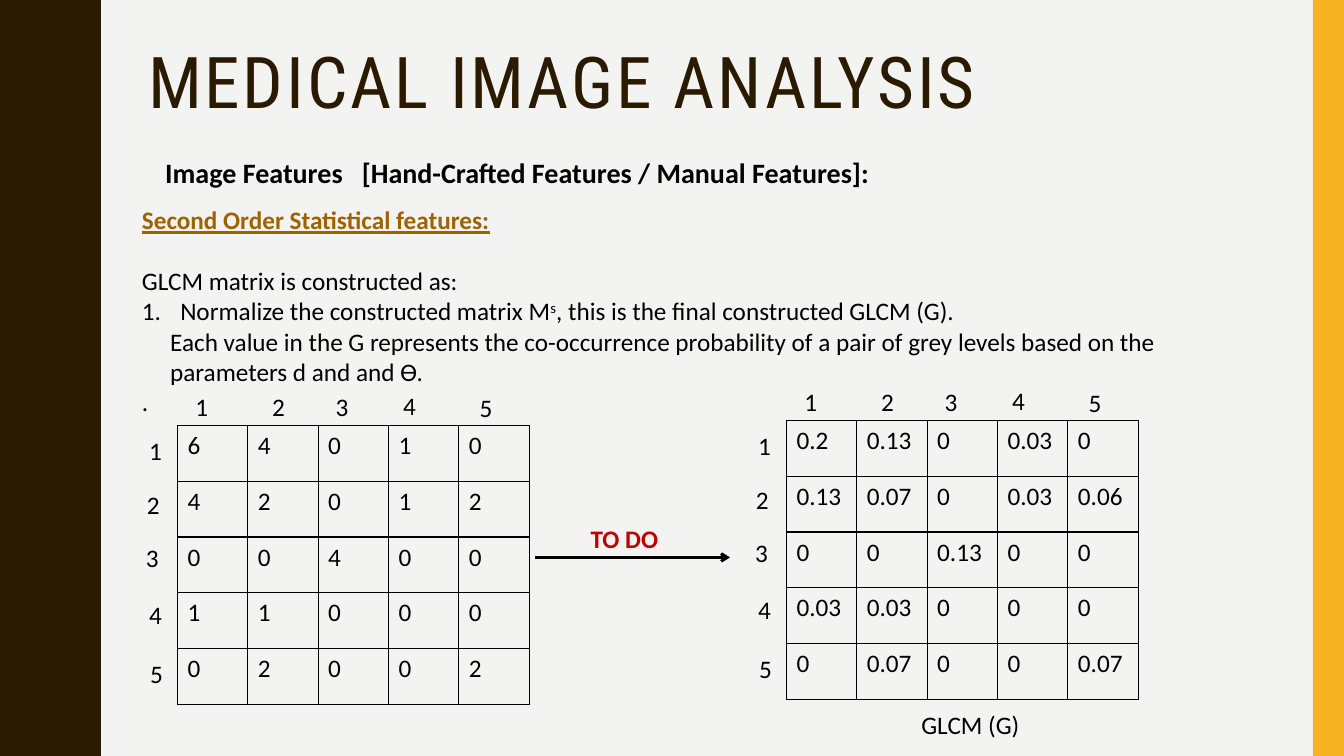
from dataclasses import dataclass
from typing import Optional

from lxml.etree import SubElement
from pptx import Presentation
from pptx.dml.color import RGBColor
from pptx.enum.shapes import MSO_CONNECTOR, MSO_SHAPE
from pptx.oxml import parse_xml
from pptx.oxml.ns import nsdecls, qn
from pptx.util import Inches, Pt

BROWN = RGBColor(0x2A, 0x1A, 0x00)
AMBER = RGBColor(0xF8, 0xB3, 0x23)
OCHRE = RGBColor(0x9F, 0x62, 0x00)
RED = RGBColor(0xC0, 0x00, 0x00)
BLACK = RGBColor(0x00, 0x00, 0x00)
PAPER = RGBColor(0xF3, 0xF3, 0xF2)

WAVE_PERIOD = 1.5
WAVE_COUNT = 5
HALF_WAVE = [(0.78, 0), (0.78, 0.07), (0.79, 0.14), (0.8, 0.2), (0.81, 0.25),
             (0.83, 0.29), (0.85, 0.33), (0.87, 0.38), (0.89, 0.42), (0.91, 0.46),
             (0.93, 0.5), (0.95, 0.55), (0.96, 0.61), (0.97, 0.68), (0.97, 0.75)]

# Offsets of the grey-level labels from the top left corner of a matrix
COLUMN_LABELS = [(0.08, -0.39), (0.84, -0.39), (1.47, -0.39), (2.14, -0.4), (2.9, -0.38)]
ROW_LABELS = [(-0.38, 0.05), (-0.4, 0.59), (-0.41, 1.11), (-0.38, 1.68), (-0.37, 2.26)]


@dataclass
class Run:
    text: str
    size: float = 18
    color: RGBColor = BLACK
    font: str = "Calibri"
    bold: bool = False
    underline: bool = False
    spacing: float = 0
    baseline: int = 0


@dataclass
class Para:
    runs: list[Run]
    line_spacing: Optional[float] = None
    space_before: float = 0
    margin: float = 0
    numbered: bool = False


@dataclass
class Matrix:
    left: float
    top: float
    rows: list[str]


MATRICES = [
    Matrix(1.76, 4.22, ["6 4 0 1 0", "4 2 0 1 2", "0 0 4 0 0", "1 1 0 0 0", "0 2 0 0 2"]),
    Matrix(7.8, 4.17, ["0.2 0.13 0 0.03 0", "0.13 0.07 0 0.03 0.06", "0 0 0.13 0 0",
                       "0.03 0.03 0 0 0", "0 0.07 0 0 0.07"]),
]

STEPS = [
    Para([Run("Second Order Statistical features:", color=OCHRE, bold=True, underline=True)]),
    Para([Run("GLCM matrix is constructed as:")], space_before=22),
    Para([Run("Normalize the constructed matrix M"), Run("s", baseline=30),
          Run(", this is the final constructed GLCM (G).")], margin=0.38, numbered=True),
    Para([Run("Each value in the G represents the co-occurrence probability of a pair of "
              "grey levels based on the")], margin=0.28),
    Para([Run("parameters d and and ϴ.")], margin=0.28),
    Para([Run(".")]),
]


def add_run(p, run: Run) -> None:
    r = p.add_run()
    r.text = run.text
    r.font.size = Pt(run.size)
    r.font.name = run.font
    r.font.color.rgb = run.color
    r.font.bold = run.bold
    r.font.underline = run.underline
    rPr = r.font._element
    if run.spacing:
        rPr.set("spc", str(round(run.spacing * 100)))
    if run.baseline:
        rPr.set("baseline", str(run.baseline * 1000))


def add_text(s, left: float, top: float, width: float, height: float,
             paras: list[Para]) -> None:
    tf = s.shapes.add_textbox(Inches(left), Inches(top), Inches(width), Inches(height)).text_frame
    tf.word_wrap = True
    for i, para in enumerate(paras):
        p = tf.add_paragraph() if i else tf.paragraphs[0]
        p.line_spacing = para.line_spacing
        p.space_before = Pt(para.space_before)
        pPr = p._p.get_or_add_pPr()
        pPr.set("marL", str(Inches(para.margin)))
        if para.numbered:
            pPr.set("indent", str(-Inches(para.margin)))
            SubElement(pPr, qn("a:buFont"), typeface="+mj-lt")
            SubElement(pPr, qn("a:buAutoNum"), type="arabicPeriod")
        for run in para.runs:
            add_run(p, run)


def add_wave(s) -> None:
    """Draw the left band with its wavy right edge."""
    period = HALF_WAVE + [(x, WAVE_PERIOD - y) for x, y in HALF_WAVE[-2::-1]]
    edge = [(x, y + n * WAVE_PERIOD) for n in range(WAVE_COUNT) for x, y in period]
    builder = s.shapes.build_freeform(0, 0, scale=Inches(1))
    builder.add_line_segments(edge + [(0, 7.5)], close=True)
    fill_plain(builder.convert_to_shape(), BROWN)


def fill_plain(sp, color: RGBColor) -> None:
    sp.shadow.inherit = False
    sp.fill.solid()
    sp.fill.fore_color.rgb = color
    sp.line.fill.background()


def add_borders(cell) -> None:
    tcPr = cell._tc.get_or_add_tcPr()
    for i, side in enumerate(("lnL", "lnR", "lnT", "lnB")):
        tcPr.insert(i, parse_xml(
            f'<a:{side} {nsdecls("a")} w="{Pt(1)}"><a:solidFill>'
            f'<a:srgbClr val="{BLACK}"/></a:solidFill></a:{side}>'))


def add_matrix(s, matrix: Matrix) -> None:
    """Draw the grid of values and the grey levels along its top and left."""
    table = s.shapes.add_table(5, 5, Inches(matrix.left), Inches(matrix.top),
                               Inches(3.49), Inches(2.77)).table
    table.first_row = False
    table.horz_banding = False
    for i, row in enumerate(matrix.rows):
        for j, value in enumerate(row.split()):
            cell = table.cell(i, j)
            cell.fill.background()
            add_borders(cell)
            add_run(cell.text_frame.paragraphs[0], Run(value))
    for labels in (COLUMN_LABELS, ROW_LABELS):
        for level, (dx, dy) in enumerate(labels, 1):
            add_text(s, matrix.left + dx, matrix.top + dy, 0.34, 0.4, [Para([Run(str(level))])])


def add_arrow(s, left: float, right: float, y: float) -> None:
    line = s.shapes.add_connector(MSO_CONNECTOR.STRAIGHT, Inches(left), Inches(y),
                                  Inches(right), Inches(y))
    line.line.color.rgb = BLACK
    line.line.width = Pt(2)
    SubElement(line.line._get_or_add_ln(), qn("a:tailEnd"), type="arrow")
    SubElement(line._element.spPr, qn("a:effectLst"))


def main() -> None:
    prs = Presentation()
    prs.slide_width = Inches(13.33)
    prs.slide_height = Inches(7.5)
    s = prs.slides.add_slide(prs.slide_layouts[6])
    s.background.fill.solid()
    s.background.fill.fore_color.rgb = PAPER

    add_wave(s)
    band = s.shapes.add_shape(MSO_SHAPE.RECTANGLE, Inches(13.02), 0, Inches(0.31), Inches(7.5))
    fill_plain(band, AMBER)

    add_text(s, 1.37, 0.42, 11.13, 1.63, [Para(
        [Run("MEDICAL IMAGE ANALYSIS", 51, BROWN, "Roboto Condensed", spacing=2)],
        line_spacing=0.9)])
    add_text(s, 1.54, 1.47, 8.78, 0.46, [Para(
        [Run("Image Features", 20, bold=True), Run(" ", 20, bold=True, spacing=9),
         Run("[Hand-Crafted Features / Manual Features]:", 20, bold=True)],
        line_spacing=1.07)])
    add_text(s, 1.31, 1.98, 11.46, 3.13, STEPS)

    for matrix in MATRICES:
        add_matrix(s, matrix)
    add_arrow(s, 5.31, 7.24, 5.53)
    add_text(s, 5.76, 5.14, 1, 0.4, [Para([Run("TO DO", color=RED, bold=True)])])
    add_text(s, 9.04, 6.99, 1.37, 0.4, [Para([Run("GLCM (G)")])])
    prs.save("out.pptx")


if __name__ == "__main__":
    main()
